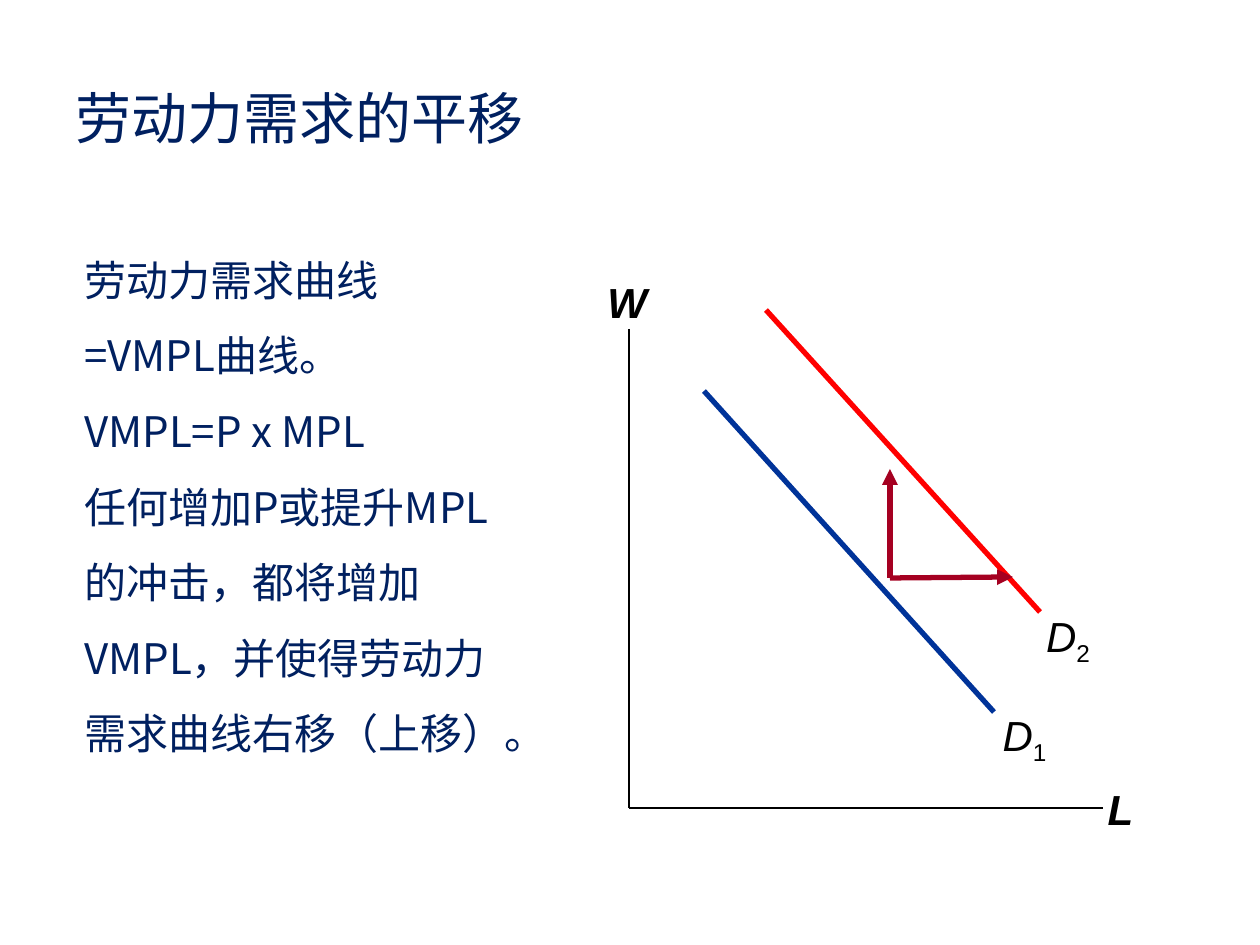
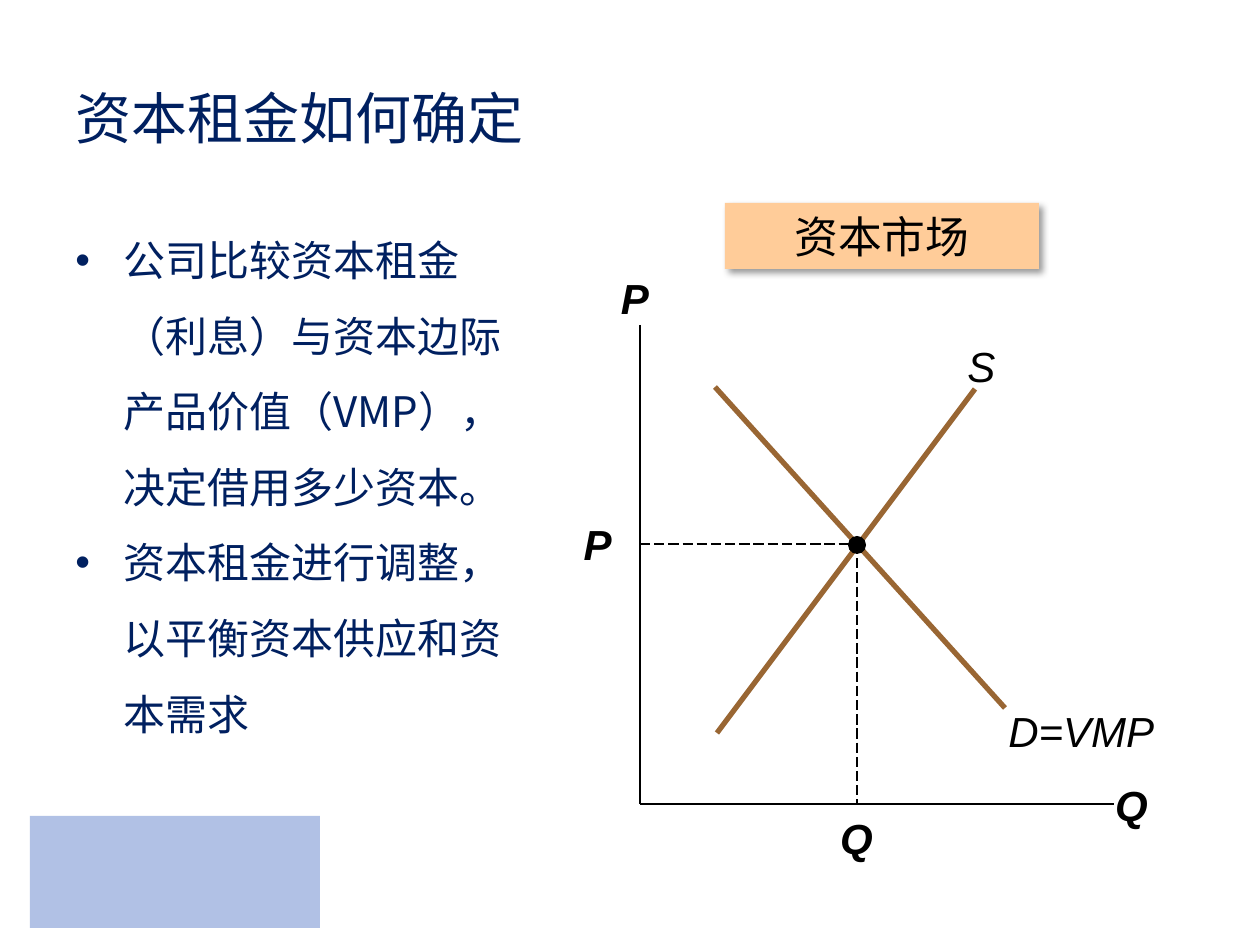
from lxml.etree import SubElement
from pptx import Presentation
from pptx.dml.color import RGBColor
from pptx.enum.dml import MSO_LINE
from pptx.enum.shapes import MSO_CONNECTOR, MSO_SHAPE
from pptx.enum.text import MSO_ANCHOR, PP_ALIGN
from pptx.oxml.ns import qn
from pptx.util import Pt

SCALE = 914400 / 126
CJK, LATIN = "Noto Sans CJK SC", "Arial"
NAVY, BLACK = "002060", "000000"
BLUE, RED, CRIMSON, BROWN = "003399", "FF0000", "A50021", "996633"
PEACH, PALE_BLUE = "FFCC99", "B1C1E5"
TITLE_BOX = (63, 38, 1134, 158)
AXIS_WIDTH, AXIS_HEIGHT = 474, 479
DEMAND = (75, 62, 365, 383)
DEMAND_LABEL = (356, 374)


def emu(px):
    return round(px * SCALE)


def color(hex_text):
    return RGBColor.from_string(hex_text)


def add_span(para, text, size=24, font=LATIN, fill=BLACK, bold=False, italic=False, baseline=0):
    span = para.add_run()
    span.text = text
    span.font.size = Pt(size)
    span.font.bold, span.font.italic = bold, italic
    span.font.color.rgb = color(fill)
    span.font.name = font
    props = span.font._element
    SubElement(props, qn("a:ea")).set("typeface", font)
    if baseline:
        props.set("baseline", str(baseline * 1000))


def add_bullet(para, indent):
    props = para._p.get_or_add_pPr()
    props.set("marL", str(emu(indent)))
    props.set("indent", str(emu(-indent)))
    SubElement(props, qn("a:buFont")).set("typeface", LATIN)
    SubElement(props, qn("a:buChar")).set("char", "•")


def write(shape, paragraphs, align=PP_ALIGN.LEFT, anchor=MSO_ANCHOR.TOP, spacing=None,
          bullet_indent=0, inset=None, subscript="", **style):
    """Fill a shape with paragraphs; a newline inside one is a line break."""
    frame = shape.text_frame
    frame.word_wrap = True
    frame.vertical_anchor = anchor
    if inset is not None:
        frame.margin_left = frame.margin_right = emu(inset)
        frame.margin_top = frame.margin_bottom = emu(inset)
    for index, text in enumerate(paragraphs):
        para = frame.add_paragraph() if index else frame.paragraphs[0]
        para.alignment = align
        if spacing:
            para.line_spacing = spacing
        if bullet_indent:
            add_bullet(para, bullet_indent)
        for number, line in enumerate(text.split("\n")):
            if number:
                para.add_line_break()
            add_span(para, line, **style)
        if subscript:
            add_span(para, subscript, **{**style, "italic": False, "baseline": -25})


def add_text(page, box, *paragraphs, **style):
    write(page.shapes.add_textbox(*map(emu, box)), paragraphs, **style)


def add_block(page, kind, box, fill):
    block = page.shapes.add_shape(kind, *map(emu, box))
    block.shadow.inherit = False
    block.fill.solid()
    block.fill.fore_color.rgb = color(fill)
    block.line.fill.background()
    return block


def add_drop_shadow(shape):
    effects = shape._element.spPr.find(qn("a:effectLst"))
    shadow = SubElement(effects, qn("a:outerShdw"), blurRad=str(Pt(4)), dist=str(Pt(3)),
                        dir="2700000", algn="tl", rotWithShape="0")
    tint = SubElement(shadow, qn("a:srgbClr"), val=BLACK)
    SubElement(tint, qn("a:alpha"), val="40000")


class Diagram:
    """Pair of axes whose parts are placed from the top of the vertical axis."""

    def __init__(self, page, left, top, vertical, horizontal):
        self.page, self.left, self.top = page, left, top
        self.line((0, 0, 0, AXIS_HEIGHT))
        self.line((0, AXIS_HEIGHT, AXIS_WIDTH, AXIS_HEIGHT))
        self.label((-34, -59), vertical, width=58, bold=True)
        self.label((460, 448), horizontal, width=63, bold=True)

    def place(self, x, y):
        return self.left + x, self.top + y

    def line(self, ends, stroke=BLACK, width=1, dash=None, arrow=False):
        points = self.place(*ends[:2]) + self.place(*ends[2:])
        line = self.page.shapes.add_connector(MSO_CONNECTOR.STRAIGHT, *map(emu, points))
        line.line.color.rgb = color(stroke)
        line.line.width = Pt(width)
        if dash:
            line.line.dash_style = dash
        if arrow:
            SubElement(line.line._get_or_add_ln(), qn("a:tailEnd"), type="triangle")
        SubElement(line._element.spPr, qn("a:effectLst"))

    def label(self, spot, text, width, height=63, align=PP_ALIGN.CENTER, **style):
        add_text(self.page, (*self.place(*spot), width, height), text,
                 align=align, italic=True, **style)

    def curve(self, ends, stroke, spot, text, width, **style):
        self.line(ends, stroke, width=3)
        self.label(spot, text, width, **style)

    def equilibrium(self, x, y, price, quantity):
        for ends in ((0, y, x, y), (x, y, x, AXIS_HEIGHT)):
            self.line(ends, width=0.75, dash=MSO_LINE.LONG_DASH)
        for spot, text in (((-76, y - 25), price), ((x - 34, AXIS_HEIGHT + 9), quantity)):
            self.label(spot, text, width=67, height=50, bold=True, inset=0)
        add_block(self.page, MSO_SHAPE.OVAL, (*self.place(x - 9, y - 8), 18, 18), BLACK)

    def banner(self, box, text):
        banner = add_block(self.page, MSO_SHAPE.RECTANGLE,
                           (*self.place(*box[:2]), *box[2:]), PEACH)
        add_drop_shadow(banner)
        write(banner, [text], align=PP_ALIGN.CENTER, anchor=MSO_ANCHOR.MIDDLE,
              size=25, font=CJK)


def add_page(deck, title):
    page = deck.slides.add_slide(deck.slide_layouts[6])
    page.background.fill.solid()
    page.background.fill.fore_color.rgb = color("FFFFFF")
    add_text(page, TITLE_BOX, title, anchor=MSO_ANCHOR.MIDDLE, size=32, font=CJK, fill=NAVY)
    return page


def add_body(page, box, *paragraphs, **style):
    add_text(page, box, *paragraphs, spacing=1.5, font=CJK, fill=NAVY, **style)


def build_demand_shift(deck):
    page = add_page(deck, "劳动力需求的平移")
    add_body(page, (72, 223, 464, 547),
             "劳动力需求曲线\n=VMPL曲线。",
             "VMPL=P x MPL",
             "任何增加P或提升MPL的冲击，都将增加VMPL，并使得劳动力需求曲线右移（上移）。")
    diagram = Diagram(page, 629, 329, "W", "L")
    diagram.curve(DEMAND, BLUE, DEMAND_LABEL, "D", 79, subscript="1")
    diagram.curve((137, -19, 411, 283), RED, (402, 275), "D", 74, subscript="2")
    for tip in ((384, 248), (261, 140)):
        diagram.line((261, 249, *tip), CRIMSON, width=3, arrow=True)


def build_capital_rent(deck):
    page = add_page(deck, "资本租金如何确定")
    add_block(page, MSO_SHAPE.RECTANGLE, (30, 816, 290, 112), PALE_BLUE)
    diagram = Diagram(page, 640, 325, "P", "Q")
    diagram.curve(DEMAND, BROWN, DEMAND_LABEL, "D=VMP", 202, align=PP_ALIGN.LEFT)
    diagram.curve((77, 408, 335, 64), BROWN, (315, 9), "S", 67, align=PP_ALIGN.LEFT)
    diagram.equilibrium(217, 219, "P", "Q")
    diagram.banner((85, -122, 314, 66), "资本市场")
    add_body(page, (63, 203, 474, 547),
             "公司比较资本租金（利息）与资本边际产品价值（VMP），决定借用多少资本。",
             "资本租金进行调整，以平衡资本供应和资本需求",
             bullet_indent=48)


def main():
    deck = Presentation()
    deck.slide_width, deck.slide_height = emu(1260), emu(945)
    build_demand_shift(deck)
    build_capital_rent(deck)
    deck.save("out.pptx")


if __name__ == "__main__":
    main()
